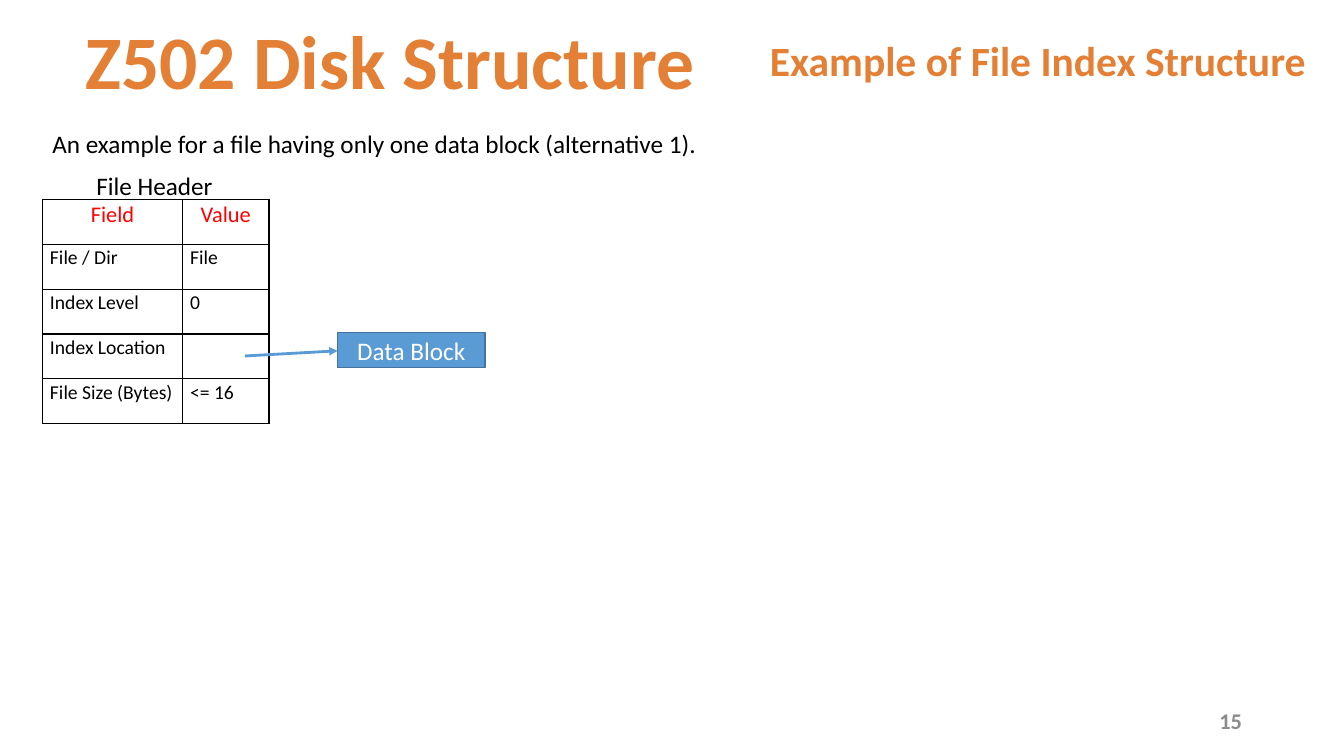
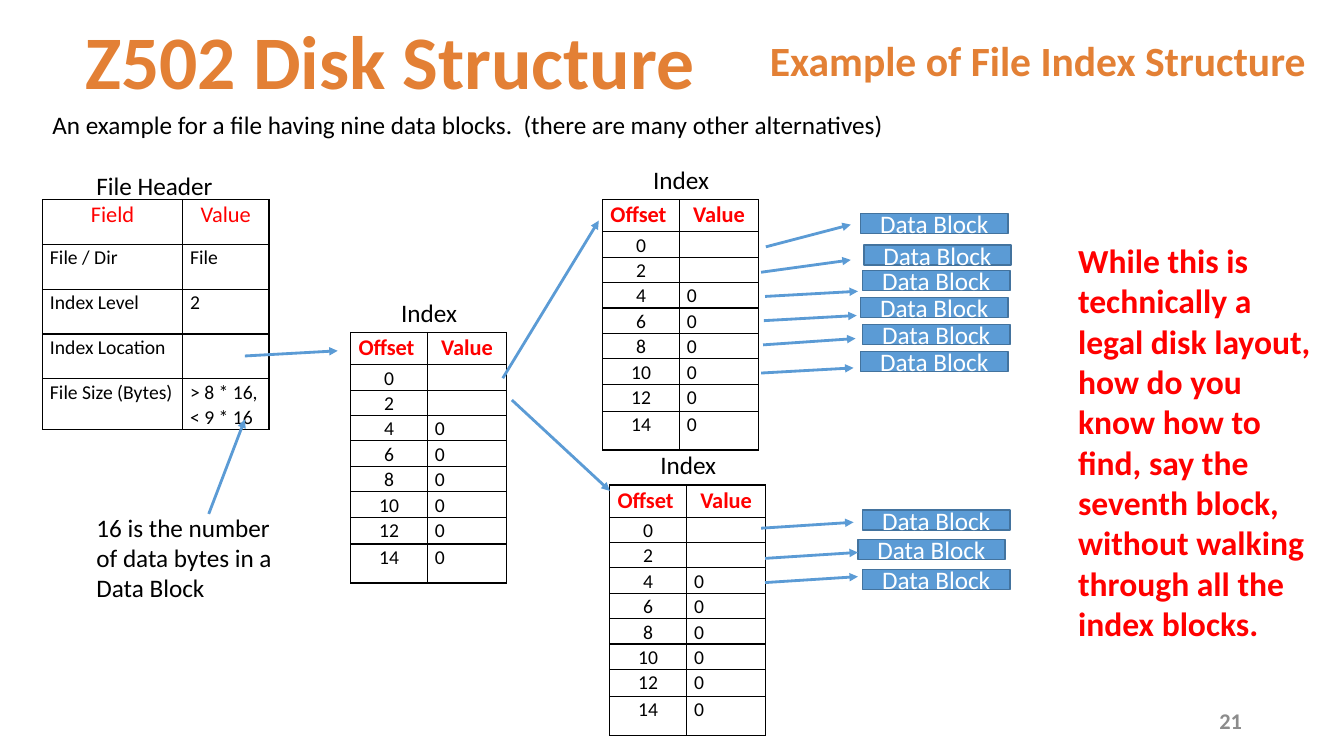
from lxml.etree import SubElement
from pptx import Presentation
from pptx.dml.color import RGBColor
from pptx.enum.shapes import MSO_CONNECTOR as LINK, MSO_SHAPE as SHAPE
from pptx.enum.text import MSO_ANCHOR as ANCHOR, PP_ALIGN as ALIGN
from pptx.oxml.ns import qn
from pptx.util import Cm, Pt

ORANGE = RGBColor(0xE3, 0x80, 0x35)
GREY = RGBColor(0x8C, 0x8C, 0x8C)
BLACK = RGBColor(0, 0, 0)
WHITE = RGBColor(255, 255, 255)
RED = RGBColor(255, 0, 0)
BLUE = RGBColor(0x5B, 0x9B, 0xD5)
NAVY = RGBColor(0x43, 0x73, 0x9E)
FONT = "Calibri"


def write(frame, text, size=18, color=BLACK, bold=False, align=ALIGN.LEFT, space=1.0):
    """Fill a text frame, one paragraph for each line of text."""
    frame.text = text
    for para in frame.paragraphs:
        para.alignment = align
        para.line_spacing = space
        for run in para.runs:
            font = run.font
            font.name, font.size, font.bold = FONT, Pt(size), bold
            font.color.rgb = color
        if not para.runs:
            SubElement(para._p, qn("a:endParaRPr"), sz=str(size * 100))


def label(slide, x, y, w, h, text, anchor=ANCHOR.TOP, wrap=True, **style):
    """Add a text box."""
    frame = slide.shapes.add_textbox(Cm(x), Cm(y), Cm(w), Cm(h)).text_frame
    frame.word_wrap = wrap
    frame.vertical_anchor = anchor
    write(frame, text, **style)


# Table layouts: column widths, row heights, rows
HEAD_COLS = [3.53, 2.18]
HEAD_ROWS = [1.13] * 5
INDEX_COLS = [1.93, 2]
INDEX_ROWS = [0.81] + [0.64] * 6 + [0.68, 0.98]
INDEX = [("Offset ", "Value")] + [(str(n), "0" if n > 2 else "") for n in range(0, 16, 2)]

# Pages: number, intro, intro top, index level, file size, index tables,
# block height, blocks, arrows
HEAD_LINK = (6.17, 8.97, 8.51, 8.84)
PAGES = [
    (15, "An example for a file having only one data block (alternative 1).", 3.12,
     "0", "<= 16", [], 0.89, [(8.51, 8.38)], [HEAD_LINK]),
    (21, "An example for a file having nine data blocks.  (there are many other alternatives)",
     2.62, "2", "> 8 * 16,\n< 9 * 16",
     [(8.84, 8.38), (15.37, 12.22), (15.19, 5.03)], 0.51,
     [(21.69, 5.38), (21.77, 6.17), (21.74, 6.81), (21.69, 7.49), (21.74, 8.18),
      (21.69, 8.86), (21.74, 12.85), (21.62, 13.59), (21.74, 14.35)],
     [HEAD_LINK,
      (12.67, 9.53, 15.09, 5.56), (12.9, 10.08, 15.37, 12.37), (5.26, 12.95, 6.17, 10.57),
      (19.3, 6.22, 21.44, 5.66), (19.18, 6.86, 21.44, 6.55), (19.28, 7.47, 21.62, 7.34),
      (19.25, 8.08, 21.59, 7.95), (19.23, 8.69, 21.56, 8.53), (19.18, 9.4, 21.51, 9.27),
      (19.18, 13.31, 21.51, 13.16), (19.28, 14.07, 21.62, 13.92),
      (19.28, 14.68, 21.62, 14.53)]),
]

deck = Presentation()
deck.slide_width, deck.slide_height = Cm(33.87), Cm(19.05)

for num, intro, top, level, size, spots, tall, blocks, links in PAGES:
    slide = deck.slides.add_slide(deck.slide_layouts[6])
    shapes = slide.shapes

    # Titles, page number and intro
    label(slide, 1.45, 0.46, 16.76, 2.34, "Z502 Disk Structure", ANCHOR.BOTTOM,
          size=54, color=ORANGE, bold=True, align=ALIGN.CENTER, space=0.9)
    label(slide, 19.13, 0.18, 14.07, 2.08, "Example of File Index Structure", ANCHOR.BOTTOM,
          wrap=False, size=29.7, color=ORANGE, bold=True, align=ALIGN.CENTER, space=0.8)
    label(slide, 23.93, 17.65, 7.62, 1.02, str(num), ANCHOR.MIDDLE,
          size=16, color=GREY, bold=True, align=ALIGN.RIGHT)
    label(slide, 1.07, top, 32.16, 1.02, intro)

    # File header and index tables
    head = [("Field", "Value"), ("File / Dir", "File"), ("Index Level", level),
            ("Index Location", ""), ("File Size (Bytes)", size)]
    grids = [(1.07, 5.03, HEAD_COLS, HEAD_ROWS, head, False)]
    grids += [(x, y, INDEX_COLS, INDEX_ROWS, INDEX, True) for x, y in spots]
    for x, y, cols, rows, data, index in grids:
        grid = shapes.add_table(len(rows), len(cols), Cm(x), Cm(y),
                                Cm(sum(cols)), Cm(sum(rows))).table
        grid.first_row = grid.horz_banding = False
        for col, wide in zip(grid.columns, cols):
            col.width = Cm(wide)
        for r, high in enumerate(rows):
            grid.rows[r].height = Cm(high)
            for c, text in enumerate(data[r]):
                cell = grid.cell(r, c)
                cell.margin_left = cell.margin_right = Cm(0.19)
                cell.margin_top = cell.margin_bottom = 0
                mid = r == 0 or (index and c == 0)
                write(cell.text_frame, text, size=14 if r else 16,
                      color=BLACK if r else RED, bold=index and r == 0,
                      align=ALIGN.CENTER if mid else ALIGN.LEFT, space=1.07)
                props = cell._tc.get_or_add_tcPr()
                for side in ("lnL", "lnR", "lnT", "lnB"):
                    edge = SubElement(props, qn("a:" + side), w=str(Pt(1)))
                    fill = SubElement(edge, qn("a:solidFill"))
                    SubElement(fill, qn("a:srgbClr"), val=str(BLACK))
                cell.fill.solid()
                cell.fill.fore_color.rgb = WHITE

    # Table captions
    label(slide, 2.18, 4.17, 3.48, 1.02, "File Header", wrap=False)
    for x, y in spots:
        label(slide, x + 1.02, y - 1.02, 1.93, 1.02, "Index", wrap=False)

    # Data blocks
    for x, y in blocks:
        block = shapes.add_shape(SHAPE.RECTANGLE, Cm(x), Cm(y), Cm(3.71), Cm(tall))
        block.shadow.inherit = False
        block.fill.solid()
        block.fill.fore_color.rgb = BLUE
        block.line.color.rgb = NAVY
        block.line.width = Pt(1)
        block.text_frame.vertical_anchor = ANCHOR.MIDDLE
        write(block.text_frame, "Data Block", color=WHITE, align=ALIGN.CENTER)

    # Arrows
    for ends in links:
        link = shapes.add_connector(LINK.STRAIGHT, *map(Cm, ends))
        link.line.color.rgb = BLUE
        link.line.width = Pt(2)
        SubElement(link.line._get_or_add_ln(), qn("a:tailEnd"), type="triangle")
        SubElement(link._element.spPr, qn("a:effectLst"))

# Remarks on the last page
label(slide, 2.18, 12.78, 5.38, 2.57, "16 is the number of data bytes in a Data Block")
label(slide, 26.92, 5.92, 6.68, 10.52,
      "While this is technically a legal disk layout,\n"
      "how do you know how to find, say the seventh block, "
      "without walking through all the index blocks.",
      size=24, color=RED, bold=True)

deck.save("out.pptx")
